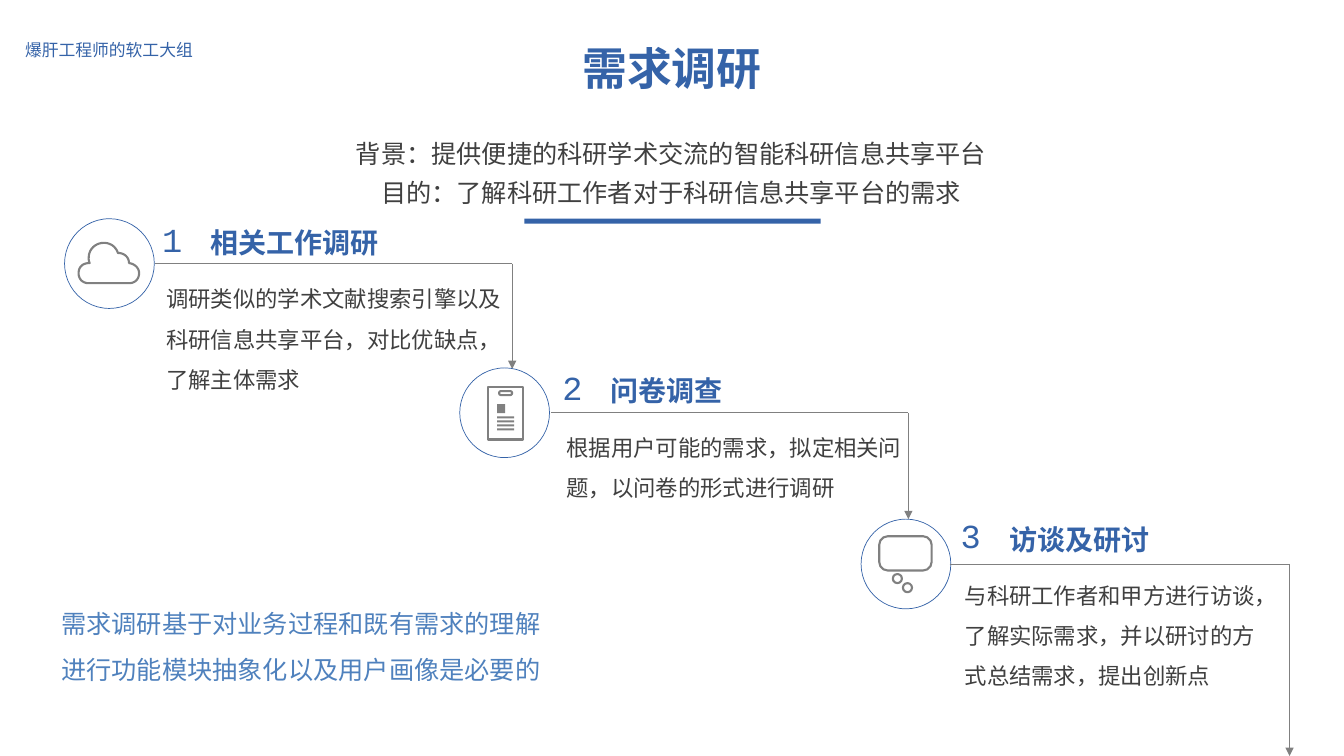
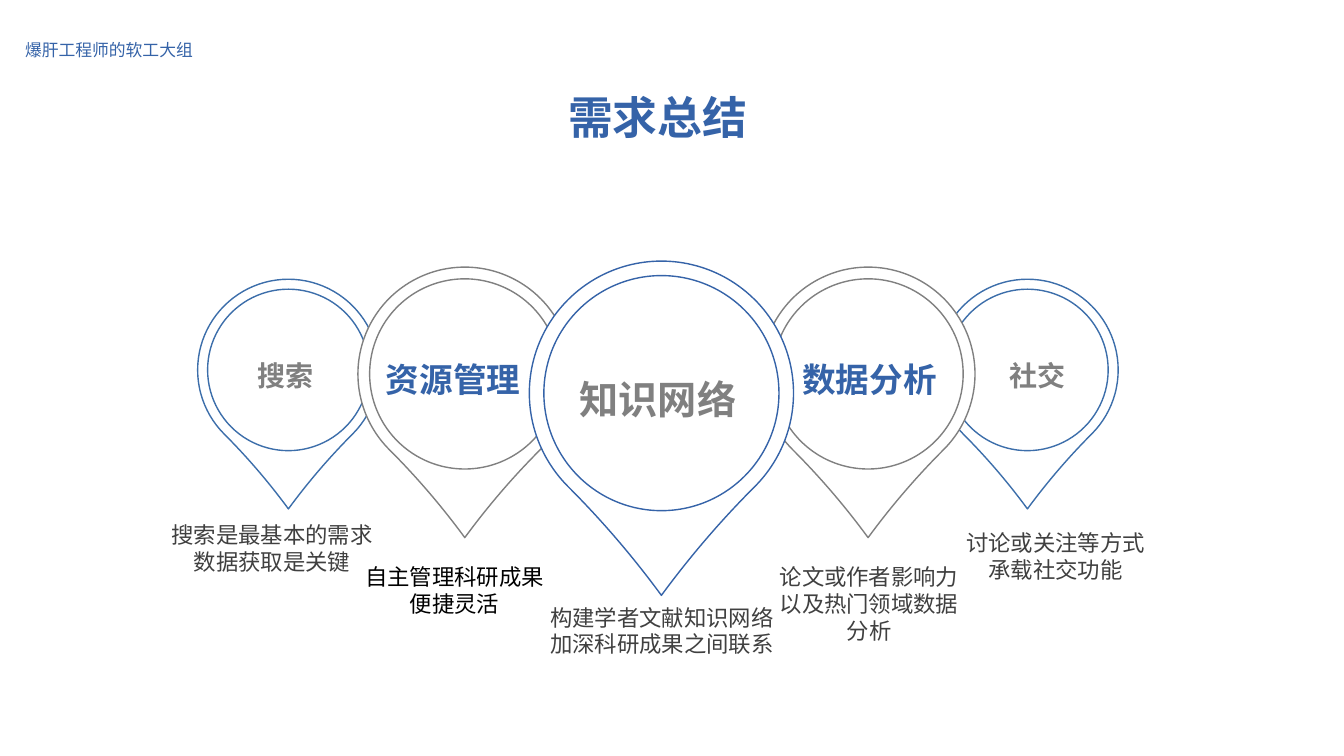
from dataclasses import dataclass
from typing import NamedTuple

from lxml import etree
from pptx import Presentation
from pptx.dml.color import RGBColor
from pptx.enum.lang import MSO_LANGUAGE_ID
from pptx.enum.shapes import MSO_CONNECTOR, MSO_SHAPE
from pptx.enum.text import MSO_ANCHOR, MSO_AUTO_SIZE, PP_ALIGN
from pptx.oxml.ns import qn
from pptx.util import Inches, Pt

CENTER, LEFT = PP_ALIGN.CENTER, PP_ALIGN.LEFT
TOP = MSO_ANCHOR.TOP
GROW = MSO_AUTO_SIZE.SHAPE_TO_FIT_TEXT
CHINESE = MSO_LANGUAGE_ID.SIMPLIFIED_CHINESE
STRAIGHT = MSO_CONNECTOR.STRAIGHT
OVAL, RECTANGLE = MSO_SHAPE.OVAL, MSO_SHAPE.RECTANGLE
ROUNDED, TEARDROP = MSO_SHAPE.ROUNDED_RECTANGLE, MSO_SHAPE.TEAR

SLIDE_WIDTH, SLIDE_HEIGHT = Inches(13.33), Inches(7.5)
COLUMNS, ROWS = 13.33, 7.5
TITLE_AND_BODY_LAYOUT, TITLE_LAYOUT = 1, 5


@dataclass(frozen=True)
class Theme:
    blue: str = "3563A8"
    pin_blue: str = "3C6EAA"
    light_blue: str = "4F81BD"
    gray: str = "808080"
    dark: str = "404040"
    black: str = "000000"
    white: str = "FFFFFF"
    font: str = "Courier New"
    label_font: str = "Arial"
    title_size: int = 32
    center_size: int = 28
    large_size: int = 24
    heading_size: int = 20
    lead_size: int = 18
    body_size: int = 16
    label_size: int = 12
    hairline: float = 0.5
    outline: float = 1
    icon_line: float = 1.5


THEME = Theme()


class Box(NamedTuple):
    """Left and width in grid columns, top and height in grid rows."""
    left: float
    top: float
    width: float
    height: float


class Point(NamedTuple):
    x: float
    y: float


@dataclass(frozen=True)
class Step:
    heading: str
    body: str
    circle: Point
    text: Point
    body_width: float
    body_height: float
    line_start: float
    corner: float
    arrow_end: float


@dataclass(frozen=True)
class Pin:
    label: str
    caption: str
    center: Point
    size: float
    line: str
    fill: str | None
    label_box: Box
    label_size: int
    label_color: str
    caption_box: Box
    caption_color: str = THEME.dark


CIRCLE_SIZE = 0.89
RING_SHARE = 0.89
STEPS = [
    Step("相关工作调研", "调研类似的学术文献搜索引擎以及科研信息共享平台，对比优缺点，了解主体需求",
         Point(0.64, 2.17), Point(1.51, 2.12), 3.62, 1.31, 1.54, 5.08, 3.66),
    Step("问卷调查", "根据用户可能的需求，拟定相关问题，以问卷的形式进行调研",
         Point(4.56, 3.65), Point(5.48, 3.59), 3.62, 0.91, 5.47, 9.01, 5.15),
    Step("访谈及研讨", "与科研工作者和甲方进行访谈，了解实际需求，并以研讨的方式总结需求，提出创新点",
         Point(8.54, 5.15), Point(9.43, 5.06), 3.2, 1.31, 9.42, 12.79, ROWS),
]
PINS = [
    Pin("搜索", "搜索是最基本的需求\n数据获取是关键", Point(2.86, 3.67), 1.8, THEME.pin_blue, None,
        Box(1.85, 3.51, 1.97, 0.44), THEME.heading_size, THEME.gray, Box(1.58, 5.12, 2.24, 0.64)),
    Pin("社交", "讨论或关注等方式承载社交功能", Point(10.19, 3.67), 1.8, THEME.pin_blue, None,
        Box(9.31, 3.51, 1.97, 0.44), THEME.heading_size, THEME.gray, Box(9.42, 5.2, 2.1, 0.64)),
    Pin("数据分析", "论文或作者影响力以及热门领域数据分析", Point(8.61, 3.71), 2.12, THEME.gray, THEME.white,
        Box(7.64, 3.51, 1.97, 0.5), THEME.large_size, THEME.blue, Box(7.57, 5.54, 2.1, 0.91)),
    Pin("资源管理", "自主管理科研成果便捷灵活", Point(4.61, 3.71), 2.12, THEME.gray, THEME.white,
        Box(3.51, 3.51, 1.97, 0.5), THEME.large_size, THEME.blue, Box(3.46, 5.54, 2.1, 0.64),
        THEME.black),
    Pin("知识网络", "构建学者文献知识网络\n加深科研成果之间联系", Point(6.56, 3.9), 2.62, THEME.blue, THEME.white,
        Box(5.49, 3.67, 2.07, 0.57), THEME.center_size, THEME.gray, Box(5.29, 5.94, 2.55, 0.64)),
]
CLOUD_START = Point(1.28, 2.81)
CLOUD_CURVES = [
    (Point(1.15, 2.81), Point(1.01, 2.81), Point(0.88, 2.81)),
    (Point(0.82, 2.81), Point(0.78, 2.77), Point(0.78, 2.71)),
    (Point(0.78, 2.65), Point(0.82, 2.61), Point(0.89, 2.61)),
    (Point(0.88, 2.59), Point(0.88, 2.57), Point(0.88, 2.56)),
    (Point(0.88, 2.47), Point(0.95, 2.41), Point(1.03, 2.41)),
    (Point(1.1, 2.41), Point(1.15, 2.45), Point(1.17, 2.51)),
    (Point(1.23, 2.51), Point(1.28, 2.55), Point(1.28, 2.61)),
    (Point(1.34, 2.62), Point(1.38, 2.66), Point(1.38, 2.71)),
    (Point(1.38, 2.77), Point(1.34, 2.81), CLOUD_START),
]


def column(count: float) -> int:
    return round(SLIDE_WIDTH * count / COLUMNS)


def row(count: float) -> int:
    return round(SLIDE_HEIGHT * count / ROWS)


def place(box: Box) -> tuple[int, int, int, int]:
    return column(box.left), row(box.top), column(box.width), row(box.height)


def square(center: Point, size: float) -> Box:
    return Box(center.x - size / 2, center.y - size / 2, size, size)


def write_text(shape, text: str, *, size: int, color: str, bold: bool = False,
               font: str = THEME.font, align=LEFT, spacing: float = 1, wrap: bool = True) -> None:
    """Fill a shape with one paragraph for each line of text."""
    frame = shape.text_frame
    frame.word_wrap = wrap
    frame.auto_size = GROW
    frame.vertical_anchor = TOP
    for index, line in enumerate(text.split("\n")):
        paragraph = frame.add_paragraph() if index else frame.paragraphs[0]
        paragraph.alignment = align
        paragraph.line_spacing = spacing
        paragraph.space_before = Pt(0)
        run = paragraph.add_run()
        run.text = line
        run.font.name = font
        run.font.size = Pt(size)
        run.font.bold = bold
        run.font.color.rgb = RGBColor.from_string(color)
        run.font.language_id = CHINESE


def add_text(slide, box: Box, text: str, **text_format) -> None:
    write_text(slide.shapes.add_textbox(*place(box)), text, **text_format)


def fill_placeholder(placeholder, box: Box, text: str, **text_format) -> None:
    placeholder.left, placeholder.top, placeholder.width, placeholder.height = place(box)
    write_text(placeholder, text, **text_format)


def remove_bullets(placeholder) -> None:
    for paragraph in placeholder.text_frame.paragraphs:
        properties = paragraph._p.get_or_add_pPr()
        properties.set("marL", "0")
        properties.set("indent", "0")
        etree.SubElement(properties, qn("a:buNone"))


def paint(shape, fill: str | None, line: str | None, width: float) -> None:
    shape.shadow.inherit = False
    if fill:
        shape.fill.solid()
        shape.fill.fore_color.rgb = RGBColor.from_string(fill)
    else:
        shape.fill.background()
    if line:
        shape.line.color.rgb = RGBColor.from_string(line)
        shape.line.width = Pt(width)
    else:
        shape.line.fill.background()


def add_shape(slide, kind, box: Box, *, fill: str | None = None, line: str | None = None,
              width: float = THEME.outline):
    shape = slide.shapes.add_shape(kind, *place(box))
    paint(shape, fill, line, width)
    return shape


def add_line(slide, start: Point, end: Point, arrow: bool = False) -> None:
    connector = slide.shapes.add_connector(
        STRAIGHT, column(start.x), row(start.y), column(end.x), row(end.y))
    connector.line.color.rgb = RGBColor.from_string(THEME.gray)
    connector.line.width = Pt(THEME.hairline)
    properties = connector.element.spPr
    if arrow:
        etree.SubElement(properties.find(qn("a:ln")), qn("a:tailEnd"), type="triangle")
    etree.SubElement(properties, qn("a:effectLst"))


def curve_points(start: Point, curves, parts: int = 10) -> list[tuple[int, int]]:
    """Sample a chain of cubic curves into slide positions."""
    points = []
    for first, second, end in curves:
        for index in range(1, parts + 1):
            t = index / parts
            weights = ((1 - t) ** 3, 3 * t * (1 - t) ** 2, 3 * t * t * (1 - t), t ** 3)
            nodes = (start, first, second, end)
            points.append((column(sum(w * node.x for w, node in zip(weights, nodes))),
                           row(sum(w * node.y for w, node in zip(weights, nodes)))))
        start = end
    return points


def add_cloud_icon(slide) -> None:
    builder = slide.shapes.build_freeform(column(CLOUD_START.x), row(CLOUD_START.y), scale=1.0)
    builder.add_line_segments(curve_points(CLOUD_START, CLOUD_CURVES), close=True)
    paint(builder.convert_to_shape(), None, THEME.gray, THEME.icon_line)


def add_form_icon(slide) -> None:
    outline = {"line": THEME.gray, "width": THEME.icon_line}
    add_shape(slide, RECTANGLE, Box(4.84, 3.84, 0.35, 0.52), **outline)
    clip = add_shape(slide, ROUNDED, Box(4.95, 3.88, 0.13, 0.04), **outline)
    clip.adjustments[0] = 0.5
    add_shape(slide, RECTANGLE, Box(4.93, 4.01, 0.08, 0.09), fill=THEME.gray)
    for index in range(4):
        add_shape(slide, RECTANGLE, Box(4.93, 4.13 + 0.04 * index, 0.17, 0.02), fill=THEME.gray)


def add_bubble_icon(slide) -> None:
    outline = {"line": THEME.gray, "width": THEME.icon_line}
    bubble = add_shape(slide, ROUNDED, Box(8.72, 5.32, 0.52, 0.34), **outline)
    bubble.adjustments[0] = 0.25
    for center in (Point(8.9, 5.74), Point(9, 5.83)):
        add_shape(slide, OVAL, square(center, 0.09), **outline)


def add_step(slide, number: int, step: Step) -> None:
    add_shape(slide, OVAL, Box(*step.circle, CIRCLE_SIZE, CIRCLE_SIZE),
              line=THEME.blue, width=THEME.hairline)
    corner = Point(step.corner, step.circle.y + CIRCLE_SIZE / 2)
    add_line(slide, Point(step.line_start, corner.y), corner)
    add_line(slide, corner, Point(corner.x, step.arrow_end), arrow=True)
    left, top = step.text
    add_text(slide, Box(left, top, 0.39, 0.5), str(number),
             size=THEME.large_size, color=THEME.blue, wrap=False)
    add_text(slide, Box(left + 0.48, top + 0.07, 3.18, 0.44), step.heading,
             size=THEME.heading_size, color=THEME.blue, bold=True)
    add_text(slide, Box(left + 0.04, top + 0.53, step.body_width, step.body_height), step.body,
             size=THEME.body_size, color=THEME.dark, spacing=1.5)


def add_pin(slide, pin: Pin) -> None:
    style = {"fill": pin.fill, "line": pin.line}
    drop = add_shape(slide, TEARDROP, square(pin.center, pin.size), **style)
    drop.adjustments[0] = 1.083
    drop.rotation = 135
    add_shape(slide, OVAL, square(pin.center, pin.size * RING_SHARE), **style)
    add_text(slide, pin.label_box, pin.label, size=pin.label_size, color=pin.label_color,
             bold=True, align=CENTER)
    add_text(slide, pin.caption_box, pin.caption, size=THEME.body_size,
             color=pin.caption_color, align=CENTER)


def add_slide(presentation, layout: int, title: str, corner: Point):
    """Add a slide with its title and the team label."""
    slide = presentation.slides.add_slide(presentation.slide_layouts[layout])
    fill_placeholder(slide.shapes.title, Box(*corner, 5.29, 0.64), title,
                     size=THEME.title_size, color=THEME.blue, bold=True, align=CENTER)
    add_text(slide, Box(0.15, 0.35, 1.87, 0.3), "爆肝工程师的软工大组", size=THEME.label_size,
             color=THEME.blue, font=THEME.label_font, wrap=False)
    return slide


def add_research_slide(presentation) -> None:
    slide = add_slide(presentation, TITLE_AND_BODY_LAYOUT, "需求调研", Point(4.02, 0.35))
    body = slide.placeholders[1]
    fill_placeholder(body, Box(3.4, 1.23, 6.51, 0.89),
                     "背景：提供便捷的科研学术交流的智能科研信息共享平台\n目的：了解科研工作者对于科研信息共享平台的需求",
                     size=THEME.lead_size, color=THEME.dark, align=CENTER, spacing=1.3)
    remove_bullets(body)
    add_shape(slide, RECTANGLE, Box(5.2, 2.17, 2.94, 0.05), fill=THEME.blue)
    for number, step in enumerate(STEPS, start=1):
        add_step(slide, number, step)
    for add_icon in (add_cloud_icon, add_form_icon, add_bubble_icon):
        add_icon(slide)
    add_text(slide, Box(0.51, 5.84, 5.01, 1.01), "需求调研基于对业务过程和既有需求的理解进行功能模块抽象化以及用户画像是必要的",
             size=THEME.lead_size, color=THEME.light_blue, spacing=1.5)


def add_summary_slide(presentation) -> None:
    slide = add_slide(presentation, TITLE_LAYOUT, "需求总结", Point(3.88, 0.84))
    for pin in PINS:
        add_pin(slide, pin)


def main() -> None:
    presentation = Presentation()
    presentation.slide_width, presentation.slide_height = SLIDE_WIDTH, SLIDE_HEIGHT
    add_research_slide(presentation)
    add_summary_slide(presentation)
    presentation.save("out.pptx")


if __name__ == "__main__":
    main()
